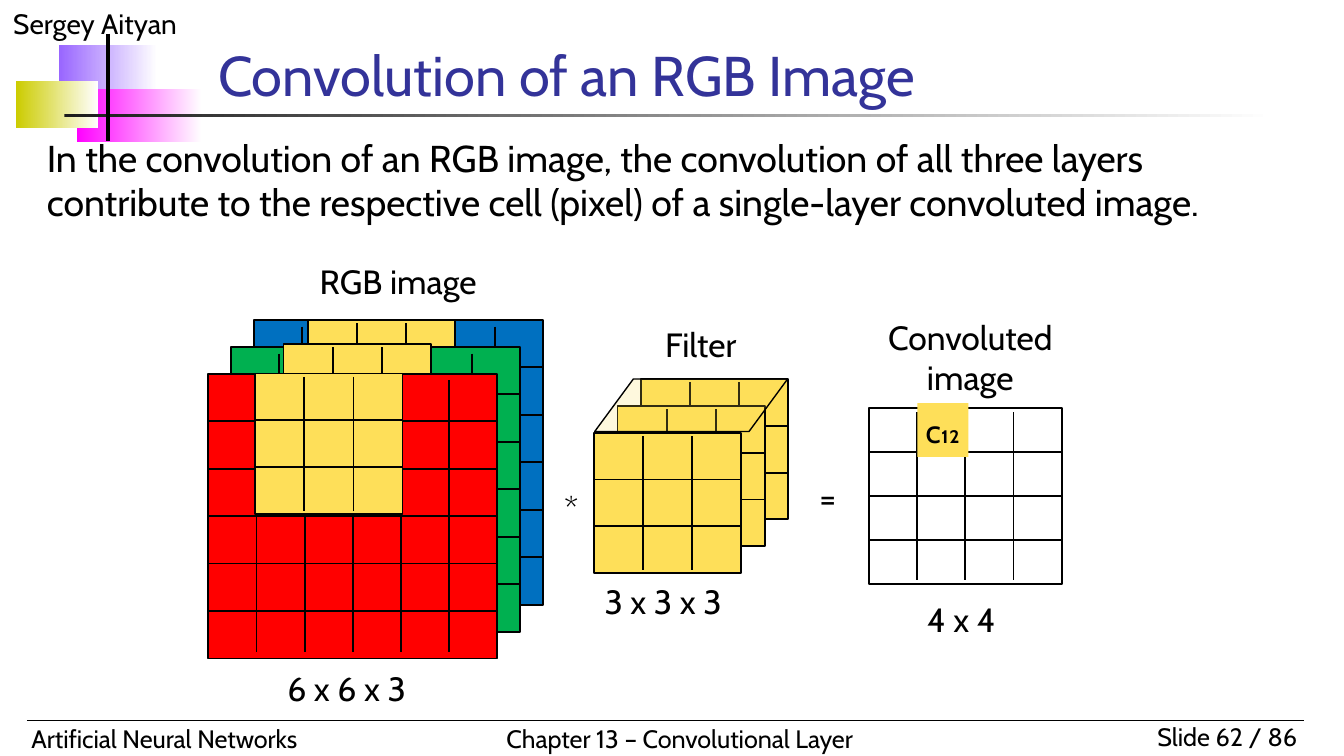
from dataclasses import dataclass
from lxml.etree import SubElement
from pptx import Presentation
from pptx.dml.color import RGBColor
from pptx.enum.shapes import MSO_CONNECTOR, MSO_SHAPE
from pptx.enum.text import MSO_ANCHOR, PP_ALIGN
from pptx.oxml.ns import qn
from pptx.util import Inches, Pt


@dataclass(frozen=True)
class Theme:
    font: str = "Cabin"
    ink: str = "000000"
    head: str = "333399"
    paper: str = "FFFFFF"
    gold: str = "FEDF59"
    red: str = "FF0000"
    green: str = "00B050"
    blue: str = "0070C0"
    violet: str = "9966FF"
    pink: str = "FF00FF"
    olive: str = "CCCC00"
    coal: str = "1C1C1C"
    title: float = 30
    body: float = 20
    label: float = 18
    name: float = 15
    foot: float = 13.5


theme = Theme()
deck = Presentation()
deck.slide_width = Inches(10)
deck.slide_height = deck.slide_width * 9 // 16
slide = deck.slides.add_slide(deck.slide_layouts[6])
shapes = slide.shapes
unit = deck.slide_width / 100  # square grid, 100 columns across


def box(kind, area, fill=None, edge=0):
    """Add a preset shape; area is left, top, width, height in grid columns."""
    shape = shapes.add_shape(kind, *(round(n * unit) for n in area))
    shape.shadow.inherit = False
    if fill:
        shape.fill.solid()
        shape.fill.fore_color.rgb = RGBColor.from_string(fill)
    else:
        shape.fill.background()
    if edge:
        shape.line.color.rgb = RGBColor.from_string(theme.ink)
        shape.line.width = Pt(edge)
    else:
        shape.line.fill.background()
    return shape


def rule(x1, y1, x2, y2, width=1):
    ends = (round(n * unit) for n in (x1, y1, x2, y2))
    line = shapes.add_connector(MSO_CONNECTOR.STRAIGHT, *ends)
    line.line.color.rgb = RGBColor.from_string(theme.ink)
    line.line.width = Pt(width)
    SubElement(line.element.spPr, qn("a:effectLst"))


# Corner blocks and the fading bar under the title
for color, area in (
    (theme.violet, (4.4, 3.35, 7.3, 3.9)),
    (theme.pink, (5.7, 6.65, 9.3, 3.9)),
    (theme.olive, (1.2, 6.05, 6.1, 3.5)),
    (theme.coal, (4.8, 8.47, 90, 0.25)),
):
    block = box(MSO_SHAPE.RECTANGLE, area)
    block.fill.gradient()
    block.fill.gradient_angle = 0
    for stop, tone in zip(block.fill.gradient_stops, (color, theme.paper)):
        stop.color.rgb = RGBColor.from_string(tone)

rule(2, 53.6, 97, 53.6, 0.75)
rule(8.03, 2.5, 8.03, 10.5, 2)

# Grids from back to front: left, top, size, columns, rows, fill
large, small = (21.5, 21.2), (10.95, 10.45)
grids = [(47.7 - 1.75 * i, 28.2 + 2 * i, small, 3, 3, theme.gold) for i in range(3)]
layers = (
    (theme.blue, 22.9, 23.8, 1),
    (theme.green, 21.1, 25.6, 1),
    (theme.red, 19, 27.8, 3),
)
for i, (color, left, top, rows) in enumerate(layers):
    grids.append((18.9 - 1.7 * i, 23.8 + 2 * i, large, 6, 6, color))
    grids.append((left, top, small, 3, rows, theme.gold))
grids.append((64.65, 30.35, (14.35, 13.1), 4, 4, None))

for left, top, (wide, high), cols, rows, color in grids:
    box(MSO_SHAPE.RECTANGLE, (left, top, wide, high), color, 1)
    for i in range(1, rows):
        y = top + high * i / rows
        rule(left, y, left + wide, y)
    gap = high / 42
    for i in range(1, cols):
        x = left + wide * i / cols
        rule(x, top + gap, x, top + high - gap)

# Translucent lid of the filter
lid = box(MSO_SHAPE.FLOWCHART_DATA, (44.25, 28.2, 14.35, 3.9), theme.gold, 0.75)
tint = lid.element.spPr.find(qn("a:solidFill"))[0]
SubElement(tint, qn("a:alpha"), val="20000")

# Words: text, area, size, alignment, side and top insets, fill
left, mid, right = PP_ALIGN.LEFT, PP_ALIGN.CENTER, PP_ALIGN.RIGHT
wide, flat, slim = (1, 0.5), (0, 0), (0, 0.5)
pitch = "In the convolution of an RGB image, the convolution of all three layers " \
    "contribute to the respective cell (pixel) of a single-layer convoluted image."
words = (
    ("Sergey Aityan", (0, 0, 25, 3.5), theme.name, left, wide, None),
    ("Slide 62 / 86", (82.5, 53.2, 15, 3.3), theme.foot, right, wide, None),
    ("Artificial Neural Networks", (1.35, 53.35, 37, 3.3), theme.foot, left, wide, None),
    ("Chapter 13 – Convolutional Layer", (36.7, 53.3, 29.9, 3.3), theme.foot, left, wide, None),
    ("Convolution of an RGB Image", (15.25, 3.1, 73.5, 5.4), theme.title, left, wide, None),
    (pitch, (2.5, 9.53, 95, 7.8), theme.body, left, wide, None),
    ("3 x 3 x 3", (44, 42.7, 12.6, 4), theme.label, left, wide, None),
    ("Filter", (48.5, 23.6, 7.9, 4), theme.label, left, wide, None),
    ("6 x 6 x 3", (20.4, 49.2, 12.6, 4), theme.label, left, wide, None),
    ("RGB image", (22.8, 18.95, 15.8, 4), theme.label, left, wide, None),
    ("4 x 4", (68, 44.1, 7.6, 4), theme.label, left, wide, None),
    ("Convoluted image", (64.55, 23.1, 15.3, 7.1), theme.label, mid, wide, None),
    ("*", (40.6, 36.3, 3.8, 3), theme.label, mid, flat, None),
    ("=", (59.7, 35.5, 3.8, 3), theme.label, mid, flat, None),
    ("c₁₂", (68.25, 30, 3.8, 4), theme.label, mid, slim, theme.gold),
)
for text, area, size, align, (side, head), fill in words:
    if fill:
        label = box(MSO_SHAPE.RECTANGLE, area, fill)
    else:
        label = shapes.add_textbox(*(round(n * unit) for n in area))
    frame = label.text_frame
    frame.word_wrap = True
    frame.margin_left = frame.margin_right = round(side * unit)
    frame.margin_top = frame.margin_bottom = round(head * unit)
    title = size == theme.title
    frame.vertical_anchor = MSO_ANCHOR.BOTTOM if title else MSO_ANCHOR.TOP
    para = frame.paragraphs[0]
    para.alignment = align
    run = para.add_run()
    run.text = text
    run.font.name, run.font.size = theme.font, Pt(size)
    run.font.color.rgb = RGBColor.from_string(theme.head if title else theme.ink)

deck.save("out.pptx")
